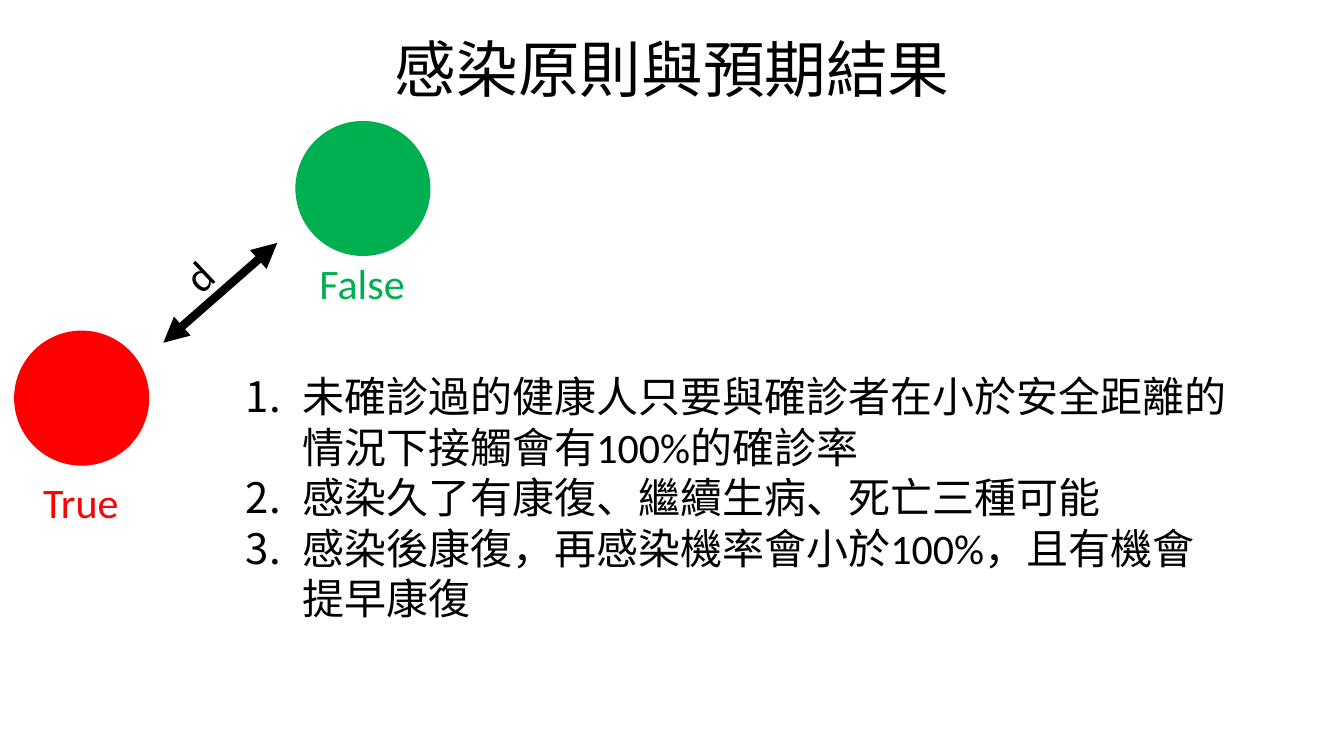
import dataclasses

import lxml.etree
import pptx
import pptx.dml.color
import pptx.enum.shapes
import pptx.enum.text
import pptx.oxml.ns
import pptx.util

Inches = pptx.util.Inches
qn = pptx.oxml.ns.qn


@dataclasses.dataclass(frozen=True)
class Theme:
    font: str = "Calibri"
    ink: str = "000000"
    healthy: str = "00B050"
    infected: str = "FF0000"
    title_size: int = 44
    body_size: int = 30
    arrow_width: int = 6


def color(value):
    return pptx.dml.color.RGBColor.from_string(value)


def write_text(para, text, *, font, size, ink, align=None, spacing=None):
    span = para.add_run()
    span.text = text
    span.font.name = font
    span.font.size = pptx.util.Pt(size)
    span.font.color.rgb = color(ink)
    para.alignment = align
    para.line_spacing = spacing


class SlideBuilder:
    def __init__(self, page, theme):
        self.page = page
        self.theme = theme

    def text_box(self, left, top, width, height, *, wrap=True, grow=True):
        box = self.page.shapes.add_textbox(
            Inches(left), Inches(top), Inches(width), Inches(height))
        box.text_frame.word_wrap = wrap
        if grow:
            box.text_frame.auto_size = pptx.enum.text.MSO_AUTO_SIZE.SHAPE_TO_FIT_TEXT
        return box

    def title(self, text, left, top, width, height):
        frame = self.text_box(left, top, width, height, grow=False).text_frame
        frame.vertical_anchor = pptx.enum.text.MSO_ANCHOR.MIDDLE
        write_text(frame.paragraphs[0], text, font=self.theme.font,
                   size=self.theme.title_size, ink=self.theme.ink,
                   align=pptx.enum.text.PP_ALIGN.CENTER, spacing=0.9)

    def label(self, text, left, top, width, height, ink, rotation=0):
        box = self.text_box(left, top, width, height, wrap=False)
        box.rotation = rotation
        write_text(box.text_frame.paragraphs[0], text, font=self.theme.font,
                   size=self.theme.body_size, ink=ink)

    def circle(self, left, top, diameter, fill):
        shape = self.page.shapes.add_shape(
            pptx.enum.shapes.MSO_SHAPE.OVAL, Inches(left), Inches(top),
            Inches(diameter), Inches(diameter))
        shape.shadow.inherit = False
        shape.fill.solid()
        shape.fill.fore_color.rgb = color(fill)
        shape.line.fill.background()

    def double_arrow(self, start, end):
        arrow = self.page.shapes.add_connector(
            pptx.enum.shapes.MSO_CONNECTOR.STRAIGHT,
            *(Inches(value) for value in (*start, *end)))
        arrow.line.color.rgb = color(self.theme.ink)
        arrow.line.width = pptx.util.Pt(self.theme.arrow_width)
        properties = arrow.element.spPr
        outline = properties.find(qn("a:ln"))
        for tag in ("a:headEnd", "a:tailEnd"):
            lxml.etree.SubElement(outline, qn(tag), type="triangle")
        lxml.etree.SubElement(properties, qn("a:effectLst"))

    def numbered_list(self, items, left, top, width, height, indent):
        frame = self.text_box(left, top, width, height).text_frame
        for index, text in enumerate(items):
            para = frame.add_paragraph() if index else frame.paragraphs[0]
            write_text(para, text, font=self.theme.font,
                       size=self.theme.body_size, ink=self.theme.ink)
            properties = para._p.get_or_add_pPr()
            properties.set("marL", str(Inches(indent)))
            properties.set("indent", str(-Inches(indent)))
            lxml.etree.SubElement(properties, qn("a:buFont"), typeface="+mj-lt")
            lxml.etree.SubElement(properties, qn("a:buAutoNum"), type="arabicPeriod")


def main():
    deck = pptx.Presentation()
    deck.slide_width = Inches(13.33)
    deck.slide_height = Inches(7.5)
    theme = Theme()
    builder = SlideBuilder(deck.slides.add_slide(deck.slide_layouts[6]), theme)

    builder.title("感染原則與預期結果", 0.92, 0.05, 11.5, 1.34)
    diameter = 1.34
    builder.circle(2.93, 1.2, diameter, theme.healthy)
    builder.circle(0.14, 3.28, diameter, theme.infected)
    builder.double_arrow((1.62, 3.4), (2.75, 2.41))
    builder.label("d", 1.76, 2.43, 0.42, 0.61, theme.ink, rotation=316.8)
    builder.label("True", 0.33, 4.68, 0.96, 0.61, theme.infected)
    builder.label("False", 3.07, 2.51, 1.05, 0.61, theme.healthy)
    builder.numbered_list([
        "未確診過的健康人只要與確診者在小於安全距離的情況下接觸會有100%的確診率",
        "感染久了有康復、繼續生病、死亡三種可能",
        "感染後康復，再感染機率會小於100%，且有機會提早康復",
    ], 2.34, 3.63, 9.99, 3.13, indent=0.56)
    deck.save("out.pptx")


if __name__ == "__main__":
    main()
